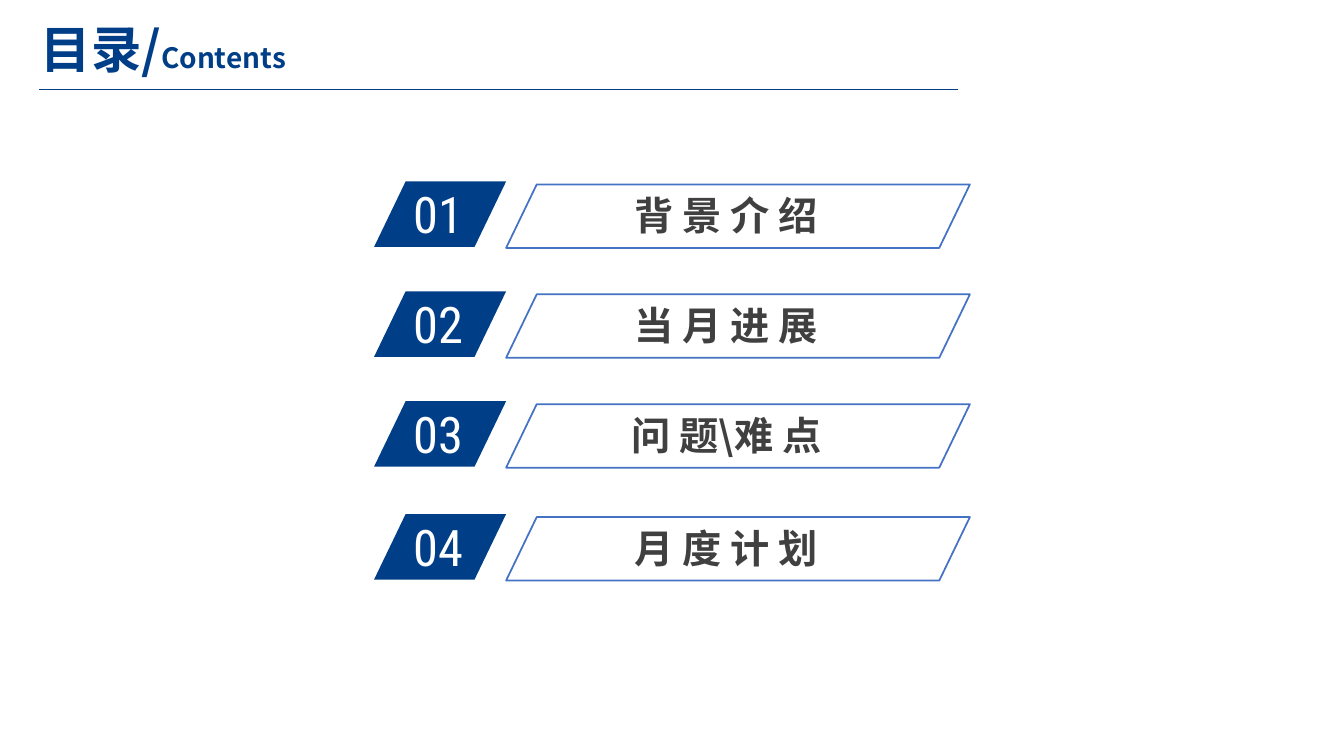
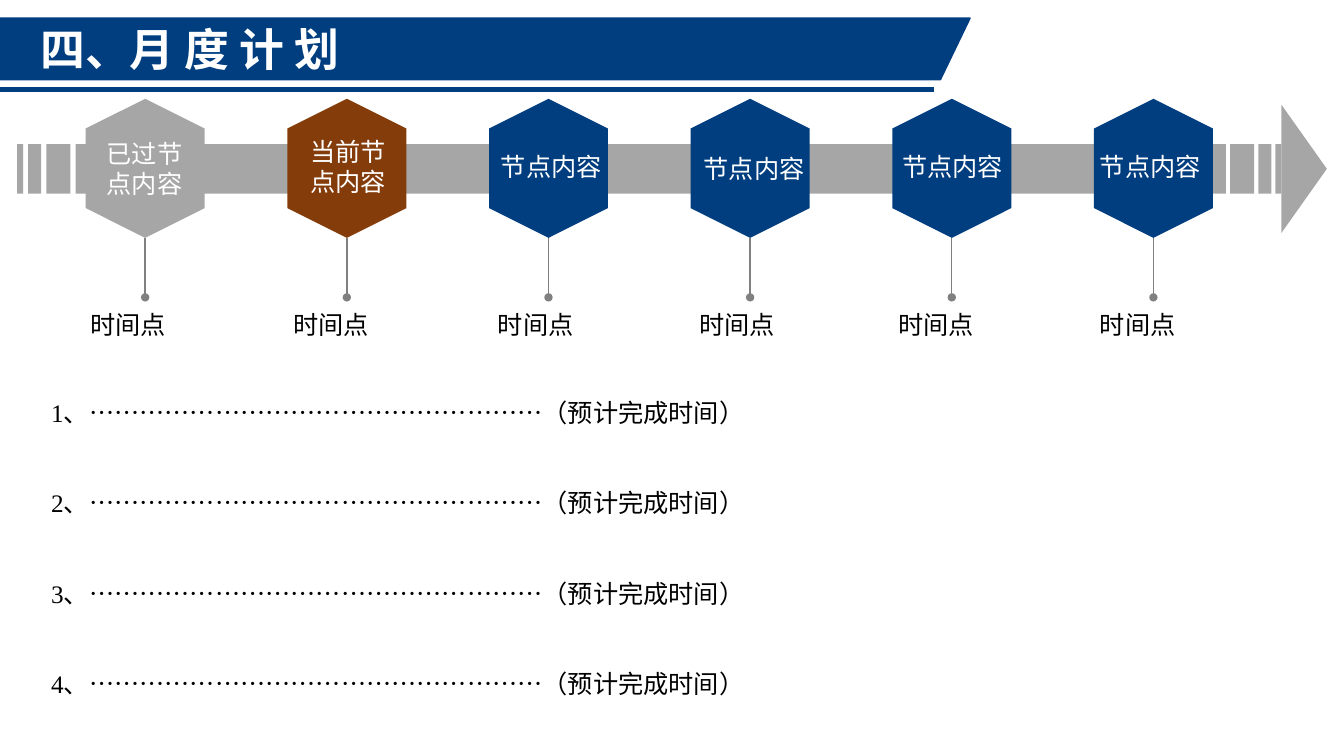
"""Build a contents slide and a monthly plan slide with a timeline."""
from lxml import etree
from pptx import Presentation
from pptx.dml.color import RGBColor
from pptx.enum import shapes, text
from pptx.oxml.ns import qn
from pptx.util import Emu, Pt

PX = 9144
NAVY, BAND, OUTLINE = "003F88", "013E80", "4472C4"
GRAY, LEAD, RUST = "A6A6A6", "808080", "843C0B"
WHITE, BLACK, DARK = "FFFFFF", "000000", "404040"
SANS, DIGITS, SERIF = "Noto Sans CJK SC", "Roboto Condensed", "Times New Roman"
SKEW = 0.482
TIGHT = (7, 4)
BODY_LEADING = 21.5
SHAPE = shapes.MSO_SHAPE

CHAPTERS = [(180, "背 景 介 绍"), (289, "当 月 进 展"),
            (398, "问 题\\难 点"), (510, "月 度 计 划")]
BARS = [(17, 6), (28, 13), (46, 24), (75, 1141), (1220, 24), (1248, 13), (1265, 6)]
# text, fill, text left, text top, text width, date left
NODES = [("已过节点内容", GRAY, 96, 132, 100, 80),
         ("当前节点内容", RUST, 298, 130, 118, 281),
         ("节点内容", BAND, 487, 145, 121, 484),
         ("节点内容", BAND, 688, 147, 121, 684),
         ("节点内容", BAND, 885, 145, 121, 881),
         ("节点内容", BAND, 1081, 145, 121, 1081)]
NODE_LEFT, NODE_PITCH = 75, 200
NODE_W, NODE_H = 138, 118


def px(*lengths):
    """Turn px lengths into EMU."""
    return [Emu(n * PX) for n in lengths]


def rgb(color):
    """Turn a hex string into a colour."""
    return RGBColor.from_string(color)


def add_shape(s, kind, box, fill=None, line=None, rotation=0, adj=None):
    """Add a preset shape with an optional fill and outline."""
    sp = s.shapes.add_shape(kind, *px(*box))
    sp.shadow.inherit = False
    sp.rotation = rotation
    if adj is not None:
        sp.adjustments[0] = adj
    if fill:
        sp.fill.solid()
        sp.fill.fore_color.rgb = rgb(fill)
    else:
        sp.fill.background()
    if line:
        sp.line.color.rgb = rgb(line)
        sp.line.width = Pt(1.25)
    else:
        sp.line.fill.background()
    return sp


def add_line(s, start, end, color, width, dot=False):
    """Add a straight line, optionally ending in a dot."""
    c = s.shapes.add_connector(shapes.MSO_CONNECTOR.STRAIGHT, *px(*start, *end))
    c.line.color.rgb = rgb(color)
    c.line.width = Pt(width)
    sp_pr = c._element.spPr
    if dot:
        etree.SubElement(sp_pr.find(qn("a:ln")), qn("a:tailEnd"), type="oval")
    etree.SubElement(sp_pr, qn("a:effectLst"))


def style(p, size, font, color, bold=False):
    """Set the Latin font of a paragraph and the shared East Asian font."""
    f = p.font
    f.size, f.bold = Pt(size), bold
    f.color.rgb = rgb(color)
    f.name = font
    etree.SubElement(p._p.pPr.find(qn("a:defRPr")), qn("a:ea"), typeface=SANS)


def add_text(s, box, lines, size, font, color, bold=False, align=None,
             wrap=True, inset=(10, 5), gap=0, leading=None):
    """Add a text box with one paragraph per line and return its frame."""
    tf = s.shapes.add_textbox(*px(*box)).text_frame
    tf.word_wrap = wrap
    tf.auto_size = text.MSO_AUTO_SIZE.SHAPE_TO_FIT_TEXT
    tf.margin_left, tf.margin_top = tf.margin_right, tf.margin_bottom = px(*inset)
    for i, line in enumerate(lines):
        p = tf.paragraphs[0] if i == 0 else tf.add_paragraph()
        p.add_run().text = line
        p.alignment = align
        if leading:
            p.line_spacing = Pt(leading)
        if i:
            p.space_before = Pt(gap)
        style(p, size, font, color, bold)
    return tf


def add_body(s, box, lines, color, wrap=True, gap=0):
    """Add a text box in the body style."""
    add_text(s, box, lines, 18, SERIF, color, wrap=wrap, gap=gap,
             leading=BODY_LEADING)


def add_chapter(s, number, top, name):
    """Add one numbered row of the contents."""
    add_shape(s, SHAPE.PARALLELOGRAM, (371, top, 131, 65), NAVY, adj=SKEW)
    add_text(s, (400, top - 3, 124, 71), [f"{number:02}"], 36, DIGITS, WHITE)
    add_text(s, (552, top + 6, 337, 55), [name], 28, SANS, DARK, True,
             text.PP_ALIGN.CENTER, inset=TIGHT)
    add_shape(s, SHAPE.PARALLELOGRAM, (502, top + 3, 460, 63), line=OUTLINE, adj=SKEW)


def add_node(s, left, name, fill, name_left, name_top, name_width, date_left):
    """Add one timeline node with its lead line and date."""
    add_shape(s, SHAPE.HEXAGON, (left, 108, NODE_W, NODE_H), fill, rotation=90)
    x = left + NODE_W // 2
    add_line(s, (x, 236), (x, 295), LEAD, 1, dot=True)
    add_body(s, (date_left, 302, 96, 40), ["时间点"], BLACK, wrap=False)
    add_body(s, (name_left, name_top, name_width, 40), [name], WHITE,
             wrap=len(name) > 4)


def build_contents(s):
    """Build the contents slide."""
    tf = add_text(s, (-12, 21, 348, 54), ["目录/"], 36, SANS, NAVY, True,
                  text.PP_ALIGN.CENTER)
    tf.auto_size = text.MSO_AUTO_SIZE.NONE
    tf.vertical_anchor = text.MSO_ANCHOR.MIDDLE
    r = tf.paragraphs[0].add_run()
    r.text = "Contents"
    r.font.size = Pt(20)
    add_line(s, (39, 89), (950, 89), NAVY, 0.5)
    for number, (top, name) in enumerate(CHAPTERS, 1):
        add_chapter(s, number, top, name)


def build_plan(s):
    """Build the monthly plan slide."""
    add_shape(s, SHAPE.PARALLELOGRAM, (-29, 18, 991, 61), BAND, BAND, adj=SKEW)
    add_text(s, (33, 18, 463, 61), ["四、月 度 计 划"], 32, SANS, WHITE, True,
             inset=TIGHT)
    add_line(s, (0, 89), (926, 89), BAND, 3.5)
    for left, width in BARS:
        add_shape(s, SHAPE.RECTANGLE, (left, 143, width, 49), GRAY)
    add_shape(s, SHAPE.ISOSCELES_TRIANGLE, (1230, 145, 127, 45), GRAY, rotation=90)
    for i, node in enumerate(NODES):
        add_node(s, NODE_LEFT + i * NODE_PITCH, *node)
    tasks = [f"{n}、………………………………………………（预计完成时间）" for n in range(1, 5)]
    add_body(s, (41, 389, 1040, 343), tasks, BLACK, gap=43.2)


def main():
    """Create and save the presentation."""
    prs = Presentation()
    prs.slide_width, prs.slide_height = px(1333, 750)
    for build in (build_contents, build_plan):
        build(prs.slides.add_slide(prs.slide_layouts[6]))
    prs.save("out.pptx")


if __name__ == "__main__":
    main()
